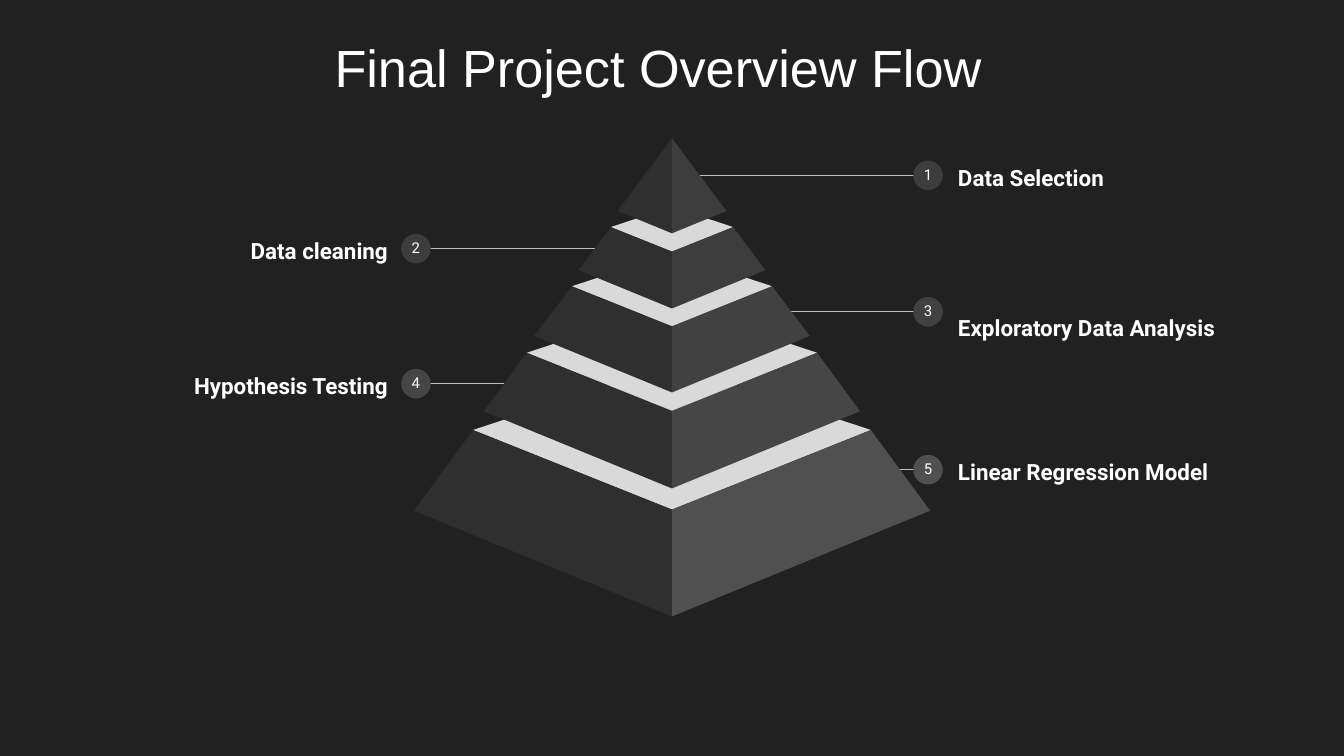
from lxml.etree import SubElement
from pptx import Presentation
from pptx.dml.color import RGBColor
from pptx.enum.shapes import MSO_CONNECTOR, MSO_SHAPE
from pptx.enum.text import MSO_ANCHOR, PP_ALIGN
from pptx.oxml.ns import qn
from pptx.util import Inches, Pt

THEME = {
    "background": RGBColor.from_string("212121"),
    "text": RGBColor.from_string("FFFFFF"),
    "line": RGBColor.from_string("BDBDBD"),
    "lid": RGBColor.from_string("D9D9D9"),
    "left_face": RGBColor.from_string("2F2F2F"),
    "tiers": [RGBColor.from_string(shade)
              for shade in ("3D3D3D", "3D3D3D", "414141", "464646", "505050")],
    "title_font": "Arial",
    "body_font": "Roboto",
    "title_size": Pt(28),
    "label_size": Pt(12),
    "number_size": Pt(8),
    "line_width": Pt(0.75),
}

presentation = Presentation()
presentation.slide_width = Inches(10)
presentation.slide_height = presentation.slide_width * 9 // 16
slide = presentation.slides.add_slide(presentation.slide_layouts[6])
slide.background.fill.solid()
slide.background.fill.fore_color.rgb = THEME["background"]

# The grid has 100 columns of square cells; all lengths below are in cells.
CELL = presentation.slide_width // 100
CENTER = 50


def add_text(shapes, box, text, font_name, size, alignment, bold=False):
    """Add a one-paragraph text box; box is left, top, width, height in cells."""
    shape = shapes.add_textbox(*(round(length * CELL) for length in box))
    frame = shape.text_frame
    frame.word_wrap = True
    frame.margin_left = frame.margin_right = CELL
    frame.margin_top = frame.margin_bottom = CELL
    paragraph = frame.paragraphs[0]
    paragraph.text = text
    paragraph.alignment = alignment
    paragraph.font.name = font_name
    paragraph.font.size = size
    paragraph.font.bold = bold
    paragraph.font.color.rgb = THEME["text"]
    return shape


def add_polygon(shapes, points, color):
    (start_x, start_y), *corners = [(x * CELL, y * CELL) for x, y in points]
    builder = shapes.build_freeform(start_x, start_y)
    builder.add_line_segments(corners, close=True)
    shape = builder.convert_to_shape()
    shape.shadow.inherit = False
    shape.fill.solid()
    shape.fill.fore_color.rgb = color
    shape.line.fill.background()


add_text(slide.shapes, (2.4, 1.6, 93.1, 8.7), "Final Project Overview Flow",
         THEME["title_font"], THEME["title_size"], PP_ALIGN.CENTER)

# Callouts alternate sides: label, row of the line, its inner end, label offset
CALLOUTS = [
    ("Data Selection", 13.05, 51.7, 0),
    ("Data cleaning", 18.5, 44.5, 0),
    ("Exploratory Data Analysis", 23.2, 57.6, 1.05),
    ("Hypothesis Testing", 28.55, 39.6, 0),
    ("Linear Regression Model", 34.95, 63.2, 0),
]
DOT = 2.2
NUMBER_WIDTH, NUMBER_HEIGHT, NUMBER_OFFSET = 2.7, 3.4, 0.3
LABEL_WIDTH, LABEL_HEIGHT = 23.3, 8.2

for index, (label, row, inner_end, label_offset) in enumerate(CALLOUTS):
    on_right = index % 2 == 0
    dot_center = 69.05 if on_right else 30.95
    label_left = 70.3 if on_right else 6.55
    shapes = slide.shapes.add_group_shape().shapes

    connector = shapes.add_connector(
        MSO_CONNECTOR.STRAIGHT, round(inner_end * CELL), round(row * CELL),
        round(dot_center * CELL), round(row * CELL))
    connector.line.color.rgb = THEME["line"]
    connector.line.width = THEME["line_width"]
    SubElement(connector._element.spPr, qn("a:effectLst"))

    dot = shapes.add_shape(
        MSO_SHAPE.OVAL, round((dot_center - DOT / 2) * CELL),
        round((row - DOT / 2) * CELL), round(DOT * CELL), round(DOT * CELL))
    dot.shadow.inherit = False
    dot.fill.solid()
    dot.fill.fore_color.rgb = THEME["tiers"][index]
    dot.line.fill.background()

    add_text(shapes, (dot_center - NUMBER_WIDTH / 2,
                      row - NUMBER_HEIGHT / 2 + NUMBER_OFFSET,
                      NUMBER_WIDTH, NUMBER_HEIGHT),
             str(index + 1), THEME["body_font"], THEME["number_size"],
             PP_ALIGN.CENTER)
    label_box = add_text(
        shapes, (label_left, row - LABEL_HEIGHT / 2 + label_offset,
                 LABEL_WIDTH, LABEL_HEIGHT),
        label, THEME["body_font"], THEME["label_size"],
        PP_ALIGN.LEFT if on_right else PP_ALIGN.RIGHT, bold=True)
    label_box.text_frame.vertical_anchor = MSO_ANCHOR.MIDDLE
    label_box.text_frame.paragraphs[0].line_spacing = 1.15

# Tiers from the tip down: half width and row of the upper and lower corners
TIERS = [
    (0, 10.3, 4.05, 15.7),
    (4.55, 16.9, 6.95, 20.1),
    (7.45, 21.3, 10.25, 25),
    (10.8, 26.25, 14, 30.6),
    (14.8, 32, 19.2, 38),
]
TOP_DROP = 0.4  # front corner below the side corners, per half width
BOTTOM_DROP = 0.41
BACK_RISE = 0.33  # back corner of a lid above the side corners, per half width

pyramid = slide.shapes.add_group_shape().shapes
for tier, right_color in reversed(list(zip(TIERS, THEME["tiers"]))):
    top_half, top_row, bottom_half, bottom_row = tier
    front_top = (CENTER, top_row + TOP_DROP * top_half)
    front_bottom = (CENTER, bottom_row + BOTTOM_DROP * bottom_half)
    if top_half:
        add_polygon(pyramid, [(CENTER - top_half, top_row), front_top,
                              (CENTER + top_half, top_row),
                              (CENTER, top_row - BACK_RISE * top_half)],
                    THEME["lid"])
    for side, color in ((-1, THEME["left_face"]), (1, right_color)):
        corners = [front_top, front_bottom,
                   (CENTER + side * bottom_half, bottom_row)]
        if top_half:
            corners.append((CENTER + side * top_half, top_row))
        add_polygon(pyramid, corners, color)

presentation.save("out.pptx")
